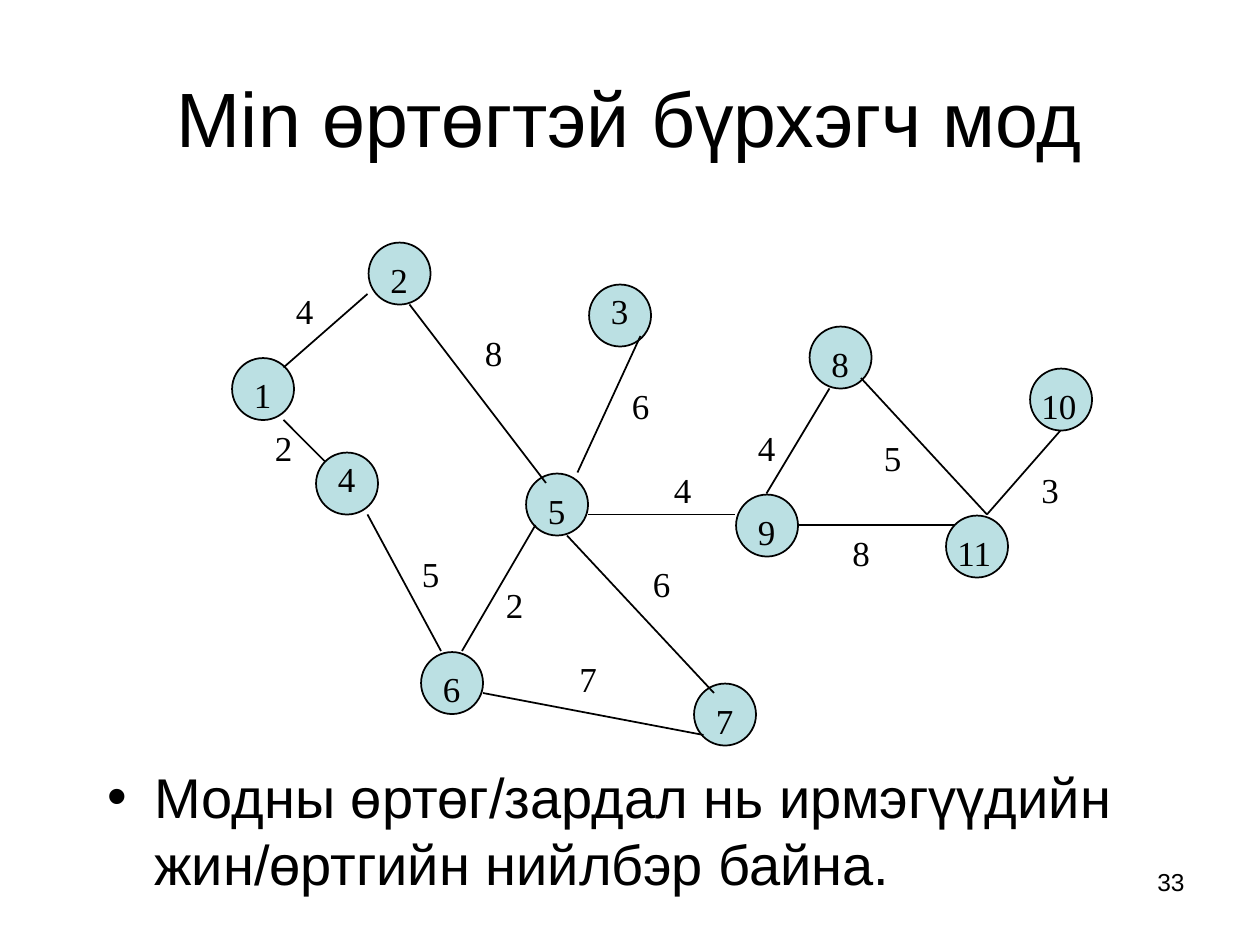
"""Build a slide showing a weighted graph for the minimum spanning tree."""
from dataclasses import dataclass

from lxml import etree
from pptx import Presentation
from pptx.dml.color import RGBColor
from pptx.enum.shapes import MSO_CONNECTOR, MSO_SHAPE
from pptx.enum.text import MSO_ANCHOR, MSO_AUTO_SIZE, PP_ALIGN
from pptx.oxml.ns import qn
from pptx.util import Pt

PX = 7620
OVAL = MSO_SHAPE.OVAL
STRAIGHT = MSO_CONNECTOR.STRAIGHT
MIDDLE, TOP = MSO_ANCHOR.MIDDLE, MSO_ANCHOR.TOP
FIXED, GROW = MSO_AUTO_SIZE.NONE, MSO_AUTO_SIZE.SHAPE_TO_FIT_TEXT
LEFT, CENTER, RIGHT = PP_ALIGN.LEFT, PP_ALIGN.CENTER, PP_ALIGN.RIGHT


@dataclass(frozen=True)
class Theme:
    ink: RGBColor = RGBColor(0x00, 0x00, 0x00)
    node: RGBColor = RGBColor(0xBB, 0xE0, 0xE3)
    text_font: str = "Arial"
    graph_font: str = "Times New Roman"
    title: int = 44
    body: int = 32
    graph: int = 20
    page: int = 14
    line: int = 1


theme = Theme()


def place(shape, left, top, width, height):
    shape.left, shape.top = left * PX, top * PX
    shape.width, shape.height = width * PX, height * PX


def write(shape, text, size, font, align=LEFT, anchor=TOP, fit=FIXED):
    frame = shape.text_frame
    frame.text = text
    frame.word_wrap = True
    frame.auto_size = fit
    frame.vertical_anchor = anchor
    paragraph = frame.paragraphs[0]
    paragraph.alignment = align
    paragraph.space_before = Pt(0)
    run_font = paragraph.runs[0].font
    run_font.size, run_font.name = Pt(size), font
    run_font.color.rgb = theme.ink


prs = Presentation()
prs.slide_width, prs.slide_height = 1200 * PX, 900 * PX
slide = prs.slides.add_slide(prs.slide_layouts[1])

title, body = slide.placeholders
place(title, 60, 36, 1080, 150)
write(title, "Min өртөгтэй бүрхэгч мод", theme.title, theme.text_font, CENTER, MIDDLE)
place(body, 90, 720, 1020, 150)
write(body, "Модны өртөг/зардал нь ирмэгүүдийн жин/өртгийн нийлбэр байна.",
      theme.body, theme.text_font)

# name, left, top, label dx, label dy, label width
nodes = [
    ("1", 220, 340, 10, 10, 30),
    ("2", 350, 230, 10, 10, 30),
    ("3", 560, 270, 10, 0, 30),
    ("8", 770, 310, 10, 10, 30),
    ("10", 980, 350, 0, 10, 60),
    ("4", 300, 430, 10, 0, 30),
    ("5", 500, 450, 10, 10, 30),
    ("9", 700, 470, 10, 10, 30),
    ("11", 900, 490, 0, 10, 100),
    ("6", 400, 620, 10, 10, 30),
    ("7", 660, 650, 10, 10, 30),
]
edges = [
    ("4", (350, 280), (270, 350), (270, 270)),
    ("8", (390, 290), (520, 460), (450, 310)),
    ("2", (270, 400), (310, 440), (250, 400)),
    ("5", (350, 490), (420, 620), (390, 520)),
    ("7", (460, 660), (670, 700), (540, 620)),
    ("6", (610, 320), (550, 450), (590, 360)),
    ("6", (540, 510), (680, 660), (610, 530)),
    ("4", (790, 370), (730, 470), (710, 400)),
    ("5", (820, 360), (940, 490), (830, 410)),
    ("3", (940, 490), (1010, 410), (980, 440)),
    ("4", (560, 490), (700, 490), (630, 440)),
    ("8", (760, 500), (910, 500), (800, 500)),
    ("2", (510, 500), (440, 620), (470, 550)),
]

graph = slide.shapes.add_group_shape().shapes

for name, left, top, dx, dy, width in nodes:
    circle = graph.add_shape(OVAL, (left + 1) * PX, (top + 1) * PX, 59 * PX, 59 * PX)
    circle.shadow.inherit = False
    circle.fill.solid()
    circle.fill.fore_color.rgb = theme.node
    circle.line.color.rgb = theme.ink
    circle.line.width = Pt(theme.line)

for weight, start, end, label_at in edges:
    edge = graph.add_connector(STRAIGHT, *(value * PX for value in start + end))
    edge.line.color.rgb = theme.ink
    edge.line.width = Pt(theme.line)
    etree.SubElement(edge.element.spPr, qn("a:effectLst"))

labels = [(name, left + dx, top + dy, width) for name, left, top, dx, dy, width in nodes]
labels += [(weight, *label_at, 40) for weight, start, end, label_at in edges]
for text, left, top, width in labels:
    label = graph.add_textbox(left * PX, top * PX, width * PX, 52 * PX)
    write(label, text, theme.graph, theme.graph_font, fit=GROW)

page_number = slide.shapes.add_textbox(860 * PX, 820 * PX, 280 * PX, 62 * PX)
write(page_number, "33", theme.page, theme.text_font, RIGHT)

prs.save("out.pptx")
